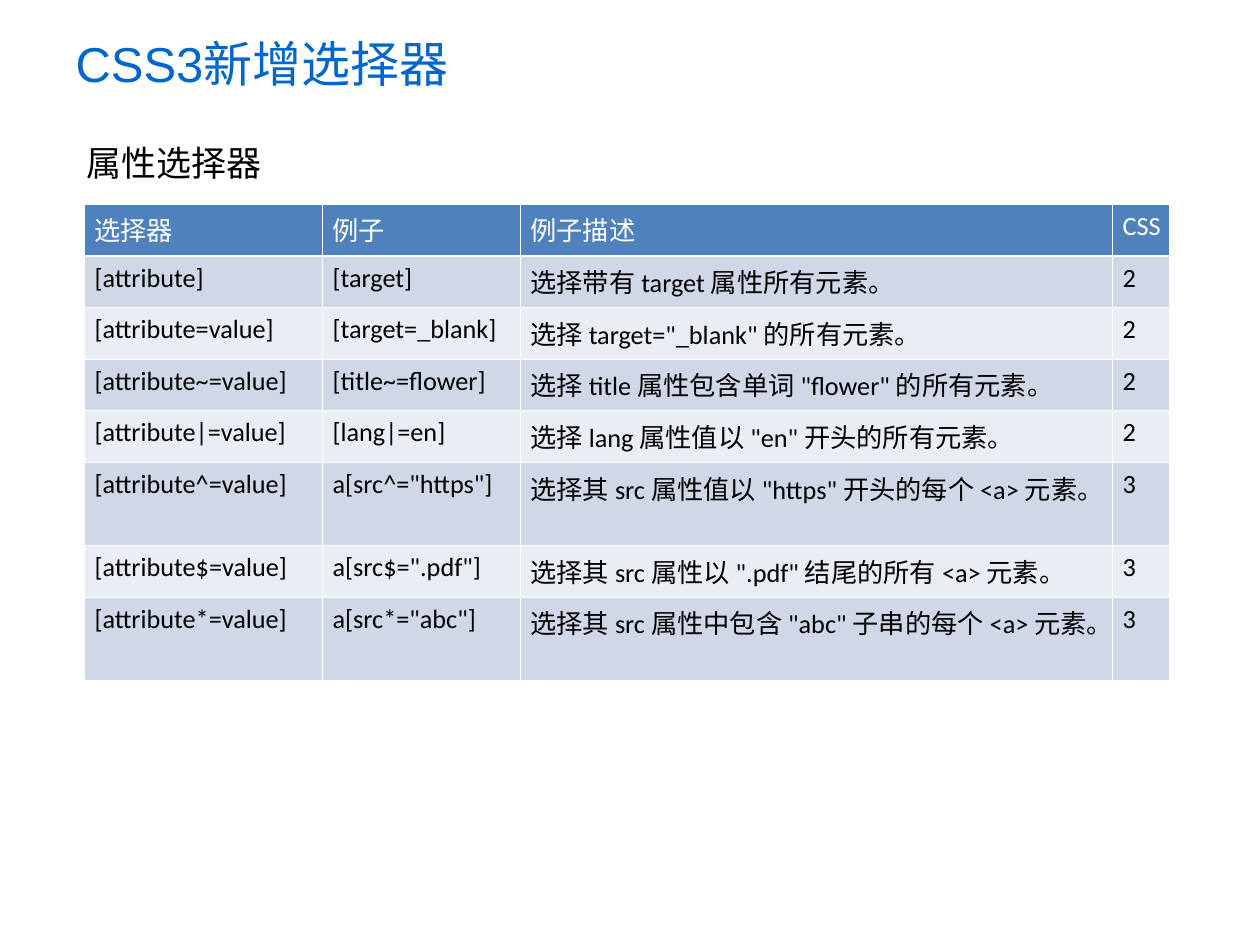
from lxml import etree
from pptx import Presentation
from pptx.dml.color import RGBColor
from pptx.enum.text import MSO_ANCHOR, MSO_AUTO_SIZE, PP_ALIGN
from pptx.oxml.ns import qn
from pptx.util import Inches, Pt

LEFT = PP_ALIGN.LEFT
TOP, MIDDLE = MSO_ANCHOR.TOP, MSO_ANCHOR.MIDDLE
GROW = MSO_AUTO_SIZE.SHAPE_TO_FIT_TEXT

# Content
TITLE = "CSS3新增选择器"
TOPIC = "属性选择器"
ROWS = [
    ("选择器", "例子", "例子描述", "CSS"),
    ("[attribute]", "[target]", "选择带有 target 属性所有元素。", "2"),
    ("[attribute=value]", "[target=_blank]",
     '选择 target="_blank" 的所有元素。', "2"),
    ("[attribute~=value]", "[title~=flower]",
     '选择 title 属性包含单词 "flower" 的所有元素。', "2"),
    ("[attribute|=value]", "[lang|=en]",
     '选择 lang 属性值以 "en" 开头的所有元素。', "2"),
    ("[attribute^=value]", 'a[src^="https"]',
     '选择其 src 属性值以 "https" 开头的每个 <a> 元素。', "3"),
    ("[attribute$=value]", 'a[src$=".pdf"]',
     '选择其 src 属性以 ".pdf" 结尾的所有 <a> 元素。', "3"),
    ("[attribute*=value]", 'a[src*="abc"]',
     '选择其 src 属性中包含 "abc" 子串的每个 <a> 元素。', "3"),
]
WIDTHS = [1.89, 1.57, 4.7, 0.45]
LINE_H, WRAP_H = 0.41, 0.66
WRAPPED = {5, 7}

THEME = {
    "title": ("Arial", 28, "0066CC"),
    "topic": ("Arial", 20, "000000"),
    "head": ("Calibri", 15, "FFFFFF"),
    "body": ("Calibri", 15, "000000"),
    "head_fill": "4F81BD",
    "bands": ("E9EDF4", "D0D8E8"),
    "rule": "FFFFFF",
    "thin": 0.45,
    "thick": 1.47,
}


def write(frame, text, style):
    """Put one styled line of text in a frame."""
    name, size, color = THEME[style]
    frame.text = text
    para = frame.paragraphs[0]
    para.alignment = LEFT
    font = para.font
    font.name, font.size, font.bold = name, Pt(size), False
    font.color.rgb = RGBColor.from_string(color)


def rule(cell, row):
    """Draw the cell borders, heavier below the header."""
    props = cell._tc.get_or_add_tcPr()
    heavy = {"T": row == 1, "B": row == 0}
    for side in "LRTB":
        width = THEME["thick" if heavy.get(side) else "thin"]
        line = etree.SubElement(props, qn(f"a:ln{side}"), w=str(Pt(width)))
        fill = etree.SubElement(line, qn("a:solidFill"))
        etree.SubElement(fill, qn("a:srgbClr"), val=THEME["rule"])


deck = Presentation()
deck.slide_width, deck.slide_height = Inches(10), Inches(7.5)
slide = deck.slides.add_slide(deck.slide_layouts[5])

# Title
title = slide.shapes.title
title.left, title.top = Inches(0.5), Inches(0)
title.width, title.height = Inches(7.65), Inches(1)
title.text_frame.vertical_anchor = MIDDLE
write(title.text_frame, TITLE, "title")

# Topic line
topic = slide.shapes.add_textbox(
    Inches(0.59), Inches(1.07), Inches(2.44), Inches(0.44)).text_frame
topic.word_wrap = True
topic.auto_size = GROW
write(topic, TOPIC, "topic")

# Selector table
heights = [WRAP_H if r in WRAPPED else LINE_H for r in range(len(ROWS))]
table = slide.shapes.add_table(
    len(ROWS), len(WIDTHS), Inches(0.67), Inches(1.62),
    Inches(sum(WIDTHS)), Inches(sum(heights))).table
table.first_row = table.horz_banding = False
for col, width in zip(table.columns, WIDTHS):
    col.width = Inches(width)
for r, (texts, height) in enumerate(zip(ROWS, heights)):
    table.rows[r].height = Inches(height)
    shade = THEME["bands"][r % 2] if r else THEME["head_fill"]
    for c, text in enumerate(texts):
        cell = table.cell(r, c)
        cell.margin_left, cell.margin_right = Inches(0.08), Inches(0.03)
        cell.margin_top = cell.margin_bottom = Inches(0.05)
        cell.vertical_anchor = TOP
        write(cell.text_frame, text, "body" if r else "head")
        rule(cell, r)
        cell.fill.solid()
        cell.fill.fore_color.rgb = RGBColor.from_string(shade)

deck.save("out.pptx")
